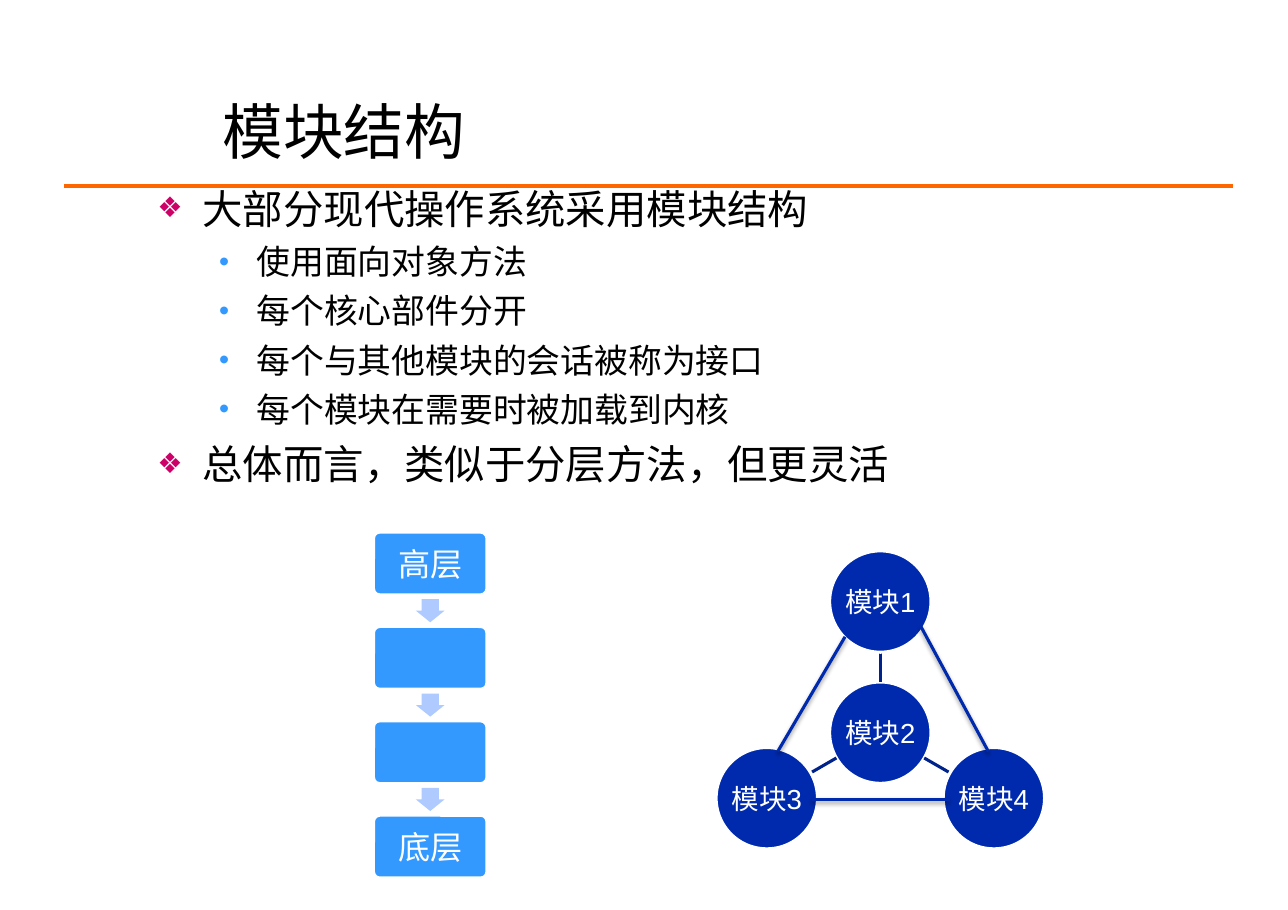
import math
from dataclasses import dataclass

from lxml import etree
from pptx import Presentation
from pptx import util as u
from pptx.dml.color import RGBColor
from pptx.enum import lang, shapes, text
from pptx.oxml import ns


@dataclass(frozen=True)
class Theme:
    font: str = "Arial"
    ink: str = "000000"
    white: str = "FFFFFF"
    rule: str = "FF6600"
    layer: str = "3399FF"
    arrow: str = "AECAFF"
    module: str = "002AAE"
    spoke: str = "00228B"
    diamond: str = "CC0066"
    title_size: float = 39.6
    point_size: float = 26.4
    detail_size: float = 22.1
    layer_size: float = 21
    module_size: float = 18


THEME = Theme()

POINTS = [
    (0, "大部分现代操作系统采用模块结构"),
    (1, "使用面向对象方法"),
    (1, "每个核心部件分开"),
    (1, "每个与其他模块的会话被称为接口"),
    (1, "每个模块在需要时被加载到内核"),
    (0, "总体而言，类似于分层方法，但更灵活"),
]
LEVELS = [
    dict(size=THEME.point_size, margin=0.41, hang=0.41, before=6.7,
         char="❖", color=THEME.diamond, percent=70),
    dict(size=THEME.detail_size, margin=0.9, hang=0.34, before=5.6,
         char="•", color=THEME.layer, percent=85),
]

LAYERS = ["高层", "", "", "底层"]
LAYER_X, LAYER_Y, LAYER_W, LAYER_H = 3.39, 4.83, 1.03, 0.57
LAYER_PITCH = 2.57 / 3
ARROW_W, ARROW_H = 0.26, 0.21

HUB_X, HUB_Y = 7.99, 6.65
ORBIT, RADIUS = 1.19, 0.46
SPOKE_START, SPOKE_END = 0.46, 0.73
OUTER_MODULES = [("模块1", -90), ("模块4", 30), ("模块3", 150)]
MODULE_LINKS = [
    (7.67, 5.78, 7.06, 6.82),
    (8.36, 5.69, 8.97, 6.82),
    (7.37, 7.26, 8.62, 7.26),
]


def rgb(color):
    return RGBColor.from_string(color)


def add_child(parent, tag, **attributes):
    return etree.SubElement(parent, ns.qn(tag), attributes)


def format_runs(paragraph, size, color):
    for run in paragraph.runs:
        run.font.name = THEME.font
        run.font.size = u.Pt(size)
        run.font.color.rgb = rgb(color)
        run.font.language_id = lang.MSO_LANGUAGE_ID.SIMPLIFIED_CHINESE
        add_child(run.font._element, "a:ea", typeface=THEME.font)


def set_insets(frame, horizontal, vertical):
    frame.margin_left = frame.margin_right = u.Inches(horizontal)
    frame.margin_top = frame.margin_bottom = u.Inches(vertical)


def add_title(slide, title):
    box = slide.shapes.add_textbox(
        u.Inches(1.91), u.Inches(0.83), u.Inches(8.49), u.Inches(0.71))
    frame = box.text_frame
    frame.word_wrap = True
    frame.vertical_anchor = text.MSO_ANCHOR.MIDDLE
    set_insets(frame, 0.11, 0.06)
    frame.text = title
    format_runs(frame.paragraphs[0], THEME.title_size, THEME.ink)


def add_bullet(paragraph, level):
    properties = paragraph._p.get_or_add_pPr()
    properties.set("marL", str(u.Inches(level["margin"])))
    properties.set("indent", str(-u.Inches(level["hang"])))
    color = add_child(properties, "a:buClr")
    add_child(color, "a:srgbClr", val=level["color"])
    add_child(properties, "a:buSzPct", val=str(level["percent"] * 1000))
    add_child(properties, "a:buFont", typeface=THEME.font)
    add_child(properties, "a:buChar", char=level["char"])


def add_points(slide, points):
    box = slide.shapes.add_textbox(
        u.Inches(1.33), u.Inches(1.62), u.Inches(8.86), u.Inches(3.22))
    frame = box.text_frame
    frame.word_wrap = True
    for index, (depth, wording) in enumerate(points):
        paragraph = frame.add_paragraph() if index else frame.paragraphs[0]
        level = LEVELS[depth]
        paragraph.text = wording
        paragraph.level = depth
        add_bullet(paragraph, level)
        if index:
            paragraph.space_before = u.Pt(level["before"])
        format_runs(paragraph, level["size"], THEME.ink)


def add_block(slide, kind, x, y, width, height, fill, outline=None):
    shape = slide.shapes.add_shape(
        kind, u.Inches(x), u.Inches(y), u.Inches(width), u.Inches(height))
    shape.shadow.inherit = False
    shape.fill.solid()
    shape.fill.fore_color.rgb = rgb(fill)
    if outline:
        shape.line.color.rgb = rgb(outline)
        shape.line.width = u.Pt(2)
    else:
        shape.line.fill.background()
    return shape


def add_label(shape, wording, size, inset):
    frame = shape.text_frame
    frame.word_wrap = False
    frame.vertical_anchor = text.MSO_ANCHOR.MIDDLE
    set_insets(frame, inset, inset)
    frame.text = wording
    paragraph = frame.paragraphs[0]
    paragraph.alignment = text.PP_ALIGN.CENTER
    format_runs(paragraph, size, THEME.white)


def add_line(slide, x1, y1, x2, y2, color, width=2, shadow=False):
    line = slide.shapes.add_connector(
        shapes.MSO_CONNECTOR.STRAIGHT,
        u.Inches(x1), u.Inches(y1), u.Inches(x2), u.Inches(y2))
    line.line.color.rgb = rgb(color)
    line.line.width = u.Pt(width)
    effects = add_child(line._element.spPr, "a:effectLst")
    if shadow:
        outer = add_child(effects, "a:outerShdw", blurRad=str(u.Pt(3.1)),
                          dist=str(u.Pt(1.6)), dir="5400000", rotWithShape="0")
        shade = add_child(outer, "a:srgbClr", val=THEME.ink)
        add_child(shade, "a:alpha", val="38000")


def add_layers(slide):
    for index, wording in enumerate(LAYERS):
        y = LAYER_Y + index * LAYER_PITCH
        if index:
            middle = y - (LAYER_PITCH - LAYER_H) / 2
            arrow = add_block(
                slide, shapes.MSO_SHAPE.DOWN_ARROW,
                LAYER_X + (LAYER_W - ARROW_W) / 2, middle - ARROW_H / 2,
                ARROW_W, ARROW_H, THEME.arrow)
            arrow.adjustments[0] = 0.6
            arrow.adjustments[1] = 0.5
        layer = add_block(slide, shapes.MSO_SHAPE.ROUNDED_RECTANGLE,
                          LAYER_X, y, LAYER_W, LAYER_H, THEME.layer, THEME.white)
        layer.adjustments[0] = 0.1
        if wording:
            add_label(layer, wording, THEME.layer_size, 0.09)


def add_module(slide, wording, x, y):
    module = add_block(slide, shapes.MSO_SHAPE.OVAL, x - RADIUS, y - RADIUS,
                       2 * RADIUS, 2 * RADIUS, THEME.module, THEME.white)
    add_label(module, wording, THEME.module_size, 0.01)


def add_modules(slide):
    add_module(slide, "模块2", HUB_X, HUB_Y)
    for wording, degrees in OUTER_MODULES:
        dx, dy = math.cos(math.radians(degrees)), math.sin(math.radians(degrees))
        add_line(slide, HUB_X + SPOKE_START * dx, HUB_Y + SPOKE_START * dy,
                 HUB_X + SPOKE_END * dx, HUB_Y + SPOKE_END * dy, THEME.spoke)
        add_module(slide, wording, HUB_X + ORBIT * dx, HUB_Y + ORBIT * dy)
    for link in MODULE_LINKS:
        add_line(slide, *link, THEME.module, shadow=True)


def main():
    presentation = Presentation()
    presentation.slide_width = u.Inches(11.69)
    presentation.slide_height = u.Inches(8.26)
    slide = presentation.slides.add_slide(presentation.slide_layouts[6])
    add_line(slide, 0.58, 1.69, 11.19, 1.69, THEME.rule, 2.25)
    add_title(slide, "模块结构")
    add_points(slide, POINTS)
    add_layers(slide)
    add_modules(slide)
    presentation.save("out.pptx")


if __name__ == "__main__":
    main()
